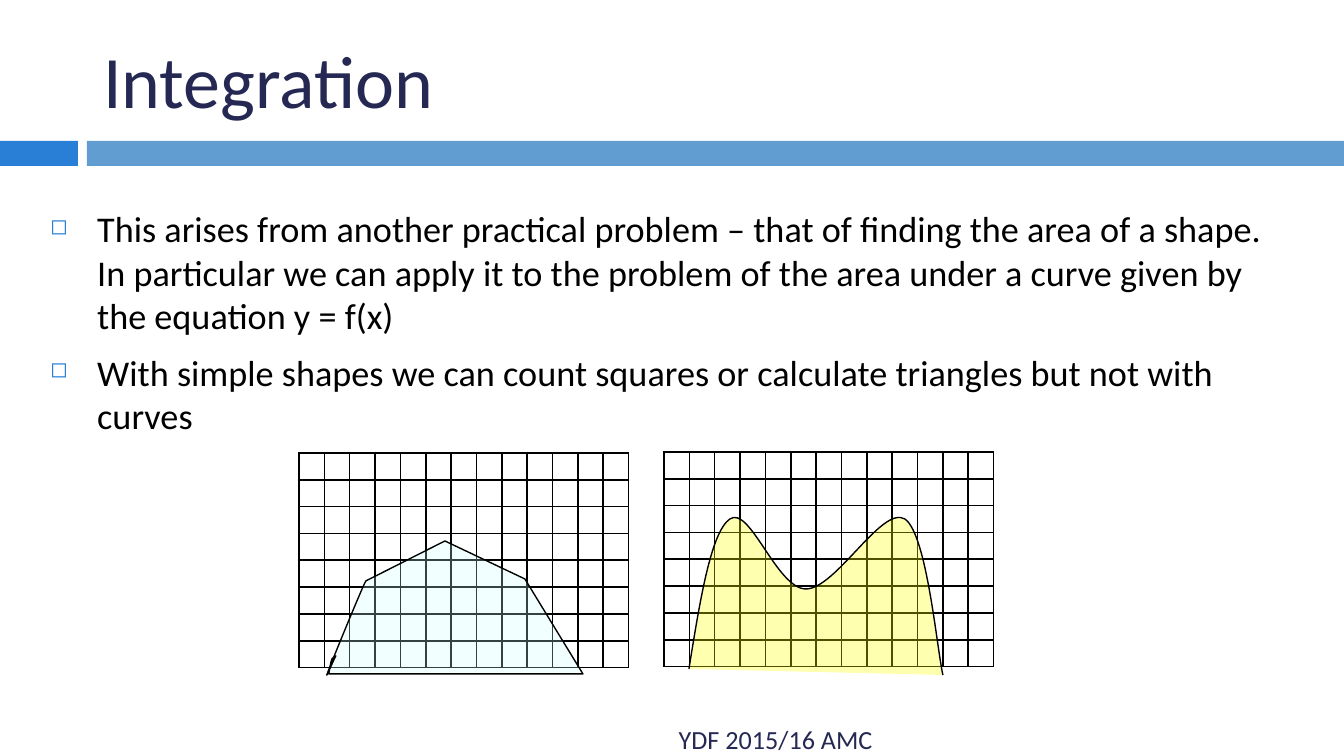
from lxml.etree import SubElement
from pptx import Presentation
from pptx.dml.color import RGBColor
from pptx.enum.shapes import MSO_SHAPE
from pptx.enum.text import MSO_ANCHOR, PP_ALIGN
from pptx.oxml import parse_xml
from pptx.oxml.ns import nsdecls, qn
from pptx.util import Pt

SCALE = 914400 / 134.4
COLUMNS, ROWS = 13, 8
GRID_WIDTH, GRID_HEIGHT = 330, 215


def px(*lengths):
    return [round(length * SCALE) for length in lengths]


def color(hex_string):
    return RGBColor.from_string(hex_string)


deck = Presentation()
deck.slide_width, deck.slide_height = px(1344, 756)
page = deck.slides.add_slide(deck.slide_layouts[6])

for left, width, fill in [(0, 78, "297FD5"), (87, 1257, "629DD1")]:
    bar = page.shapes.add_shape(MSO_SHAPE.RECTANGLE, *px(left, 141, width, 25))
    bar.shadow.inherit = False
    bar.fill.solid()
    bar.fill.fore_color.rgb = color(fill)
    bar.line.fill.background()

bullets = [
    "This arises from another practical problem – that of finding the area of a shape. "
    "In particular we can apply it to the problem of the area under a curve given by "
    "the equation y = f(x)",
    "With simple shapes we can count squares or calculate triangles but not with curves",
]
texts = [
    (["Integration"], (90, 25, 1199, 109), 39.6, "242852", MSO_ANCHOR.MIDDLE, PP_ALIGN.LEFT),
    (["YDF 2015/16 AMC"], (89, 719, 797, 40), 14, "242852", MSO_ANCHOR.MIDDLE, PP_ALIGN.RIGHT),
    (bullets, (37, 200, 1265, 234), 19.4, "000000", MSO_ANCHOR.TOP, PP_ALIGN.LEFT),
]
for lines, place, size, ink, anchor, align in texts:
    box = page.shapes.add_textbox(*px(*place))
    frame = box.text_frame
    frame.word_wrap = True
    frame.vertical_anchor = anchor
    frame.text = "\n".join(lines)
    for index, para in enumerate(frame.paragraphs):
        para.alignment = align
        if lines is bullets:
            if index:
                para.space_before = Pt(7)
            properties = para._p.get_or_add_pPr()
            indent = px(47)[0]
            properties.set("marL", str(indent))
            properties.set("indent", str(-indent))
            bullet_color = SubElement(properties, qn("a:buClr"))
            SubElement(bullet_color, qn("a:srgbClr"), val="297FD5")
            SubElement(properties, qn("a:buSzPct"), val="60000")
            SubElement(properties, qn("a:buChar"), char="◻")
        for span in para.runs:
            span.font.name = "Calibri"
            span.font.size = Pt(size)
            span.font.color.rgb = color(ink)

for left, top in [(664, 452), (299, 453)]:
    grid = page.shapes.add_table(ROWS, COLUMNS, *px(left, top, GRID_WIDTH, GRID_HEIGHT)).table
    grid.first_row = False
    grid.horz_banding = False
    for column in grid.columns:
        column.width = px(GRID_WIDTH / COLUMNS)[0]
    for row in grid.rows:
        row.height = px(GRID_HEIGHT / ROWS)[0]
    for cell in grid.iter_cells():
        cell.margin_left = cell.margin_right = cell.margin_top = cell.margin_bottom = 0
        SubElement(cell.text_frame.paragraphs[0]._p, qn("a:endParaRPr"), sz="600")
        cell.fill.background()
        for position, side in enumerate(["lnL", "lnR", "lnT", "lnB"]):
            border = parse_xml(
                f'<a:{side} {nsdecls("a")} w="12700"><a:solidFill>'
                f'<a:srgbClr val="000000"/></a:solidFill></a:{side}>'
            )
            cell._tc.tcPr.insert(position, border)

hump = [
    [(689, 669)],
    [(700, 601), (711, 532), (730, 519)],
    [(750, 505), (777, 589), (806, 589)],
    [(836, 589), (882, 505), (905, 519)],
    [(927, 534), (937, 649), (943, 675)],
]
pentagon = [
    [(329, 674)],
    [(329, 672), (331, 661), (332, 659)],
    [(333, 657), (335, 657), (336, 656)],
    [(335, 657), (323, 685), (328, 672)],
    [(328, 671), (364, 583), (366, 581)],
    [(445, 541)],
    [(525, 579)],
    [(583, 674)],
]
for segments, closed, fill, opacity in [
    (hump, False, "FFFF00", 31),
    (pentagon, True, "CCFFFF", 26),
]:
    outline = [px(*point) for segment in segments for point in segment]
    builder = page.shapes.build_freeform(*outline[0])
    builder.add_line_segments(outline[1:], close=closed)
    area = builder.convert_to_shape()
    lines = iter(list(area._element.iter(qn("a:lnTo"))))
    for segment in segments[1:]:
        first, *others = [next(lines) for point in segment]
        if others:
            curve = parse_xml(f'<a:cubicBezTo {nsdecls("a")}/>')
            first.addprevious(curve)
            for line in [first, *others]:
                curve.append(line[0])
                line.getparent().remove(line)
    area.shadow.inherit = False
    area.fill.solid()
    area.fill.fore_color.rgb = color(fill)
    tint = area._element.spPr.find(qn("a:solidFill")).find(qn("a:srgbClr"))
    SubElement(tint, qn("a:alpha"), val=str(opacity * 1000))
    area.line.color.rgb = color("000000")
    area.line.width = Pt(0.75)

deck.save("out.pptx")
